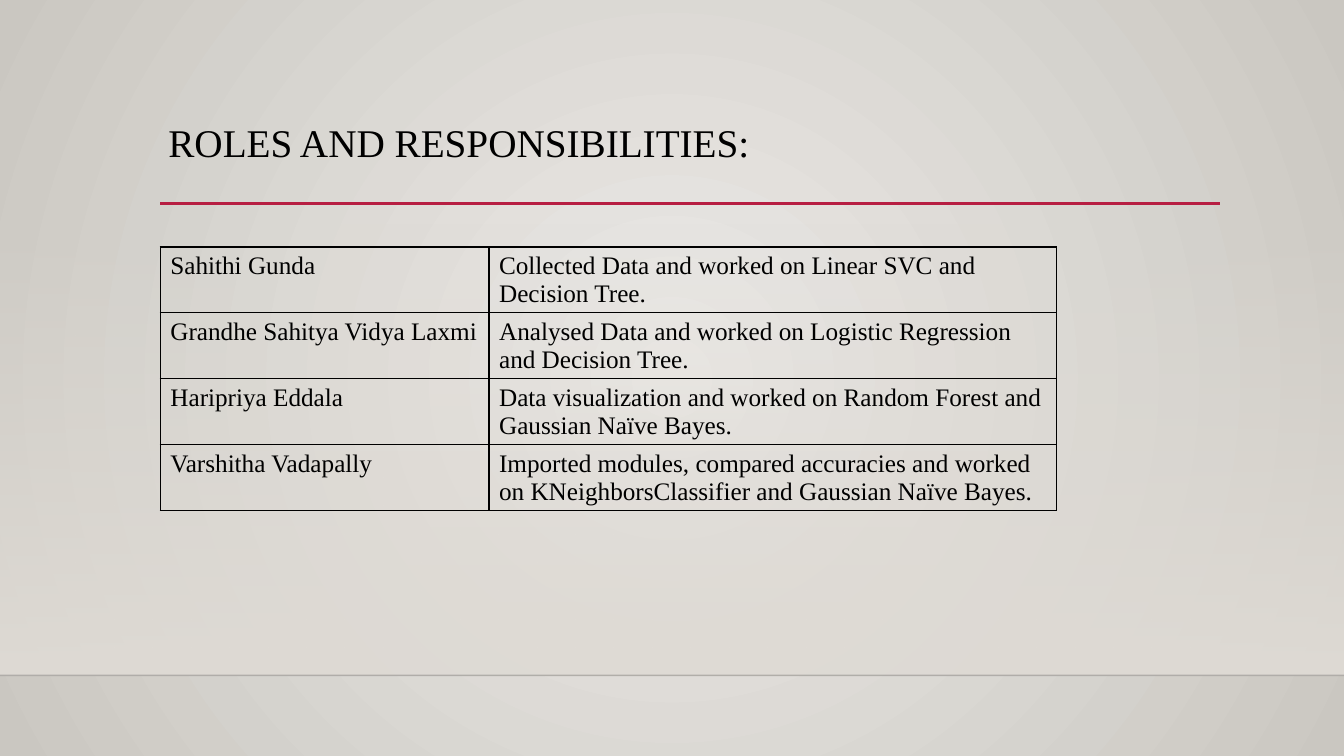
import pptx
import pptx.dml.color
import pptx.enum.shapes
import pptx.enum.text
import pptx.oxml
import pptx.oxml.ns
import pptx.util

# Content
TITLE = "ROLES AND RESPONSIBILITIES:"
ROLES = [
    ("Sahithi Gunda", "Collected Data and worked on Linear SVC and Decision Tree."),
    ("Grandhe Sahitya Vidya Laxmi",
     "Analysed Data and worked on Logistic Regression and Decision Tree."),
    ("Haripriya Eddala",
     "Data visualization and worked on Random Forest and Gaussian Naïve Bayes."),
    ("Varshitha Vadapally",
     "Imported modules, compared accuracies and worked on KNeighborsClassifier "
     "and Gaussian Naïve Bayes."),
]

THEME = {
    "font": "Times New Roman", "title_size": 28, "body_size": 18,
    "text": "000000", "accent": "B71E42", "floor": "000001", "band": "DFDBD5",
    "center": "ECEAE7", "edge": "CAC7C1",
}

# Layout in inches
WIDTH, HEIGHT = 13.33, 7.5
LEFT, RULE_RIGHT, RULE_Y = 1.59, 12.1, 2.02
BAND_TOP, FLOOR_Y = 2.21, 6.7
TABLE_TOP, ROW_HEIGHT = 2.45, 0.65
COLUMNS = (3.26, 5.63)

inches = pptx.util.Inches
rgb = pptx.dml.color.RGBColor.from_string
NAMESPACE = pptx.oxml.ns.nsdecls("a")


def element(xml):
    """Parse one DrawingML element, given without its namespace."""
    tag, rest = xml[:-2].partition(" ")[::2]
    return pptx.oxml.parse_xml(f"{tag} {NAMESPACE} {rest}/>")


def set_alpha(fill_element, percents):
    for color, percent in zip(fill_element.iter(pptx.oxml.ns.qn("a:srgbClr")), percents):
        color.append(element(f'<a:alpha val="{percent * 1000}"/>'))


def set_gradient(fill, colors):
    fill.gradient()
    for stop, color, position in zip(fill.gradient_stops, colors, (0, 1)):
        stop.color.rgb = rgb(color)
        stop.position = position


def format_text(frame, size):
    for para in frame.paragraphs:
        for span in para.runs:
            span.font.name = THEME["font"]
            span.font.size = pptx.util.Pt(size)
            span.font.color.rgb = rgb(THEME["text"])


def add_rule(page, left, right, y, color, width):
    rule = page.shapes.add_connector(
        pptx.enum.shapes.MSO_CONNECTOR.STRAIGHT,
        inches(left), inches(y), inches(right), inches(y))
    rule.line.color.rgb = rgb(color)
    rule.line.width = pptx.util.Pt(width)
    rule._element.spPr.append(element("<a:effectLst />"))
    return rule


def add_borders(cell):
    properties = cell._tc.get_or_add_tcPr()
    for index, side in enumerate("LRTB"):
        properties.insert(index, pptx.oxml.parse_xml(
            f'<a:ln{side} {NAMESPACE} w="12700"><a:solidFill>'
            f'<a:srgbClr val="{THEME["text"]}"/></a:solidFill></a:ln{side}>'))


deck = pptx.Presentation()
deck.slide_width, deck.slide_height = inches(WIDTH), inches(HEIGHT)
page = deck.slides.add_slide(deck.slide_layouts[5])

# Radial background
set_gradient(page.background.fill, (THEME["center"], THEME["edge"]))
for direction in list(page._element.iter(pptx.oxml.ns.qn("a:lin"))):
    gradient = direction.getparent()
    gradient.remove(direction)
    gradient.append(pptx.oxml.parse_xml(
        f'<a:path {NAMESPACE} path="circle">'
        '<a:fillToRect l="50000" t="50000" r="50000" b="50000"/></a:path>'))

# Band fading in towards the floor line
band = page.shapes.add_shape(
    pptx.enum.shapes.MSO_SHAPE.RECTANGLE,
    0, inches(BAND_TOP), inches(WIDTH), inches(FLOOR_Y - BAND_TOP))
band.shadow.inherit = False
band.line.fill.background()
set_gradient(band.fill, (THEME["band"], THEME["band"]))
band.fill.gradient_angle = 270
set_alpha(band._element.spPr, (0, 100))

# Floor line and title rule
floor = add_rule(page, 0, WIDTH, FLOOR_Y, THEME["floor"], 1)
set_alpha(floor._element.spPr, (20,))
add_rule(page, LEFT, RULE_RIGHT, RULE_Y, THEME["accent"], 2.5)

# Title, brought in front of the band
title = page.shapes.title
title.left, title.top, title.width, title.height = map(inches, (1.57, 1.18, 10.5, 1.15))
frame = title.text_frame
frame.text = TITLE
frame.word_wrap = True
frame.auto_size = pptx.enum.text.MSO_AUTO_SIZE.NONE
frame.vertical_anchor = pptx.enum.text.MSO_ANCHOR.TOP
frame.paragraphs[0].alignment = pptx.enum.text.PP_ALIGN.LEFT
frame.paragraphs[0].line_spacing = 0.9
format_text(frame, THEME["title_size"])
page.shapes._spTree.append(title._element)

# Table of roles
table = page.shapes.add_table(
    len(ROLES), len(COLUMNS), inches(LEFT), inches(TABLE_TOP),
    inches(sum(COLUMNS)), inches(ROW_HEIGHT * len(ROLES))).table
table.first_row = table.horz_banding = False
for column, width in zip(table.columns, COLUMNS):
    column.width = inches(width)
for row, texts in zip(table.rows, ROLES):
    for cell, text in zip(row.cells, texts):
        cell.text_frame.text = text
        format_text(cell.text_frame, THEME["body_size"])
        cell.fill.background()
        add_borders(cell)

deck.save("out.pptx")
